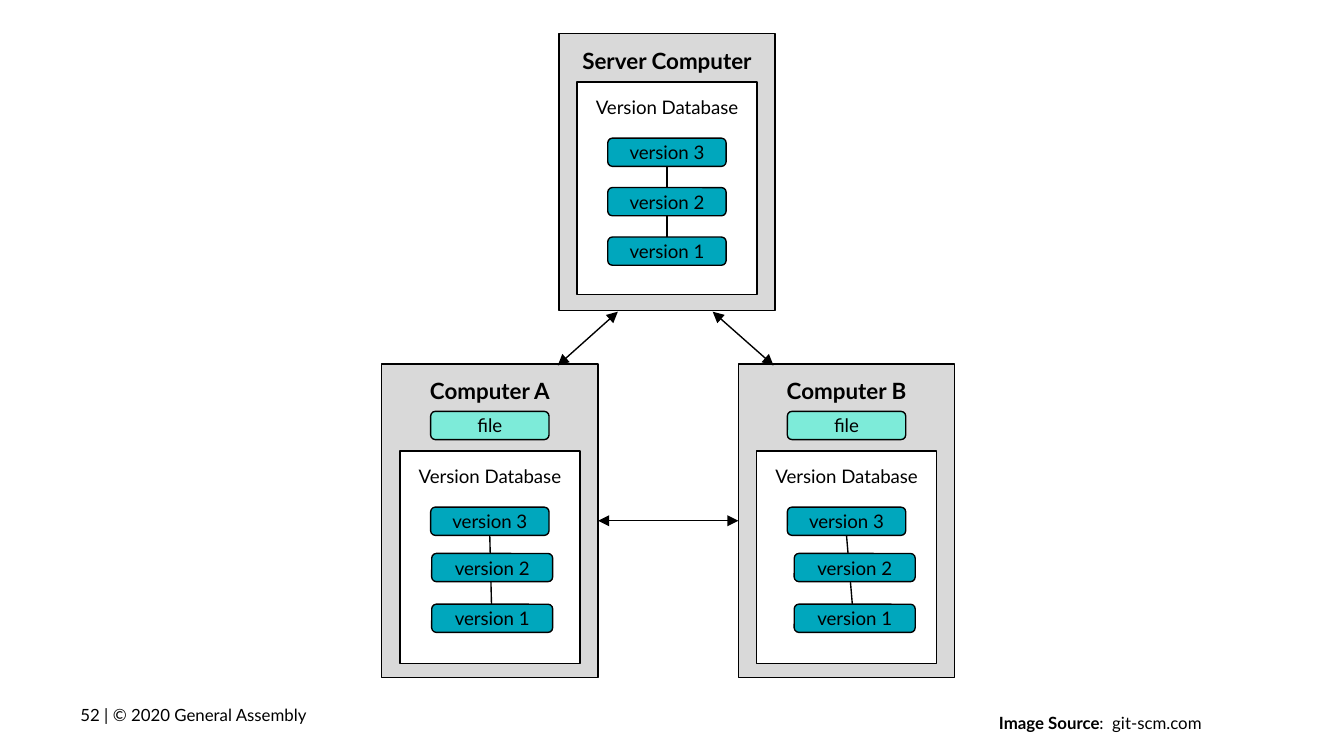
from pptx import Presentation
from pptx.dml.color import RGBColor
from pptx.enum.shapes import MSO_CONNECTOR, MSO_SHAPE
from pptx.enum.text import MSO_ANCHOR, MSO_AUTO_SIZE, PP_ALIGN
from pptx.oxml.ns import qn
from pptx.util import Pt
from lxml.etree import SubElement

SERVER, LOCAL = (30, 56.5, 83), (30, 54.8, 82)
MACHINES = [
    dict(name="Computer A", at=(204.5, 195.1), high=167.8, db=46.6, file="file",
         rows=LOCAL, shift=0.6, wide=64.8),
    dict(name="Computer B", at=(395.6, 195.1), high=167.8, db=46.6, file="file",
         rows=LOCAL, shift=3.7, wide=64.8),
    dict(name="Server Computer", at=(299.4, 18), high=148.3, db=26, file=None,
         rows=SERVER, shift=0, wide=63.4),
]
VERSIONS = ["version 3", "version 2", "version 1"]
LINKS = [((331, 167), (298.8, 195.8)), ((381.8, 167), (414.4, 195.8))]
SOURCE = [("Image Source", True), (":  git-scm.com", False)]
FOOTER = [("52 | © 2020 General Assembly", False)]

THEME = dict(font="Lato", ink="000000", case="D9D9D9", panel="FFFFFF", file="7DEBD9",
             version="00A7BD", head=12, label=10, note=9, line=0.75)
CASE_W, PANEL_W, PANEL_H = 115.9, 96.5, 113.8
TAG_W, TAG_H, TAG_X, FILE_Y = 63.4, 15.1, 26.2, 25.3
INSET = 7.2

deck = Presentation()
deck.slide_width, deck.slide_height = Pt(720), Pt(405)
slide = deck.slides.add_slide(deck.slide_layouts[2])
shapes = slide.shapes


def color(key):
    return RGBColor.from_string(THEME[key])


def write(shape, runs, size="label", align=PP_ALIGN.CENTER, anchor=MSO_ANCHOR.MIDDLE,
          spacing=1.0):
    frame = shape.text_frame
    frame.auto_size = MSO_AUTO_SIZE.NONE
    frame.word_wrap = True
    frame.vertical_anchor = anchor
    frame.margin_left = frame.margin_right = Pt(INSET)
    frame.margin_top = frame.margin_bottom = Pt(INSET)
    para = frame.paragraphs[0]
    para.alignment, para.line_spacing, para.space_before = align, spacing, Pt(0)
    for text, bold in runs:
        run = para.add_run()
        run.text = text
        font = run.font
        font.name, font.size, font.bold = THEME["font"], Pt(THEME[size]), bold
        font.color.rgb = color("ink")


def box(kind, x, y, w, h, fill, text, bold=False, **style):
    shape = shapes.add_shape(kind, Pt(x), Pt(y), Pt(w), Pt(h))
    shape.shadow.inherit = False
    shape.fill.solid()
    shape.fill.fore_color.rgb = color(fill)
    shape.line.color.rgb = color("ink")
    shape.line.width = Pt(THEME["line"])
    write(shape, [(text, bold)], **style)
    return shape


def wire(start=(0, 0), end=(0, 0), arrows=False):
    line = shapes.add_connector(MSO_CONNECTOR.STRAIGHT, *map(Pt, start + end))
    line.line.color.rgb = color("ink")
    line.line.width = Pt(THEME["line"])
    props = line._element.spPr
    if arrows:
        for tag in ("a:headEnd", "a:tailEnd"):
            SubElement(props.find(qn("a:ln")), qn(tag), type="triangle")
    SubElement(props, qn("a:effectLst"))
    return line


def join(line, first, side, last, other):
    line.begin_connect(first, side)
    line.end_connect(last, other)


def machine(spec):
    x, y = spec["at"]
    case = box(MSO_SHAPE.RECTANGLE, x, y, CASE_W, spec["high"], "case", spec["name"],
               bold=True, size="head", anchor=MSO_ANCHOR.TOP)
    if spec["file"]:
        box(MSO_SHAPE.ROUNDED_RECTANGLE, x + TAG_X, y + FILE_Y, TAG_W, TAG_H,
            "file", spec["file"])
    top = y + spec["db"]
    box(MSO_SHAPE.RECTANGLE, x + (CASE_W - PANEL_W) / 2, top, PANEL_W, PANEL_H,
        "panel", "Version Database", anchor=MSO_ANCHOR.TOP)
    line = wire()
    tags = []
    for i, (text, row) in enumerate(zip(VERSIONS, spec["rows"])):
        left = x + TAG_X + (spec["shift"] if i else 0)
        tags.append(box(MSO_SHAPE.ROUNDED_RECTANGLE, left, top + row,
                        spec["wide"] if i else TAG_W, TAG_H, "version", text))
    join(line, tags[0], 2, tags[-1], 2)
    return case


first, second, server = [machine(item) for item in MACHINES]
for start, end in LINKS:
    wire(start, end, arrows=True)
join(wire(arrows=True), second, 1, first, 3)

title = shapes.title
title._element.getparent().remove(title._element)
body = slide.placeholders[1]
body.left, body.top, body.width, body.height = Pt(360), Pt(370.8), Pt(290.9), Pt(31)
write(body, SOURCE, size="note", align=PP_ALIGN.RIGHT, spacing=1.15)

footer = shapes.add_textbox(Pt(36), Pt(367.2), Pt(186.5), Pt(31))
write(footer, FOOTER, size="note", align=PP_ALIGN.LEFT)

deck.save("out.pptx")
